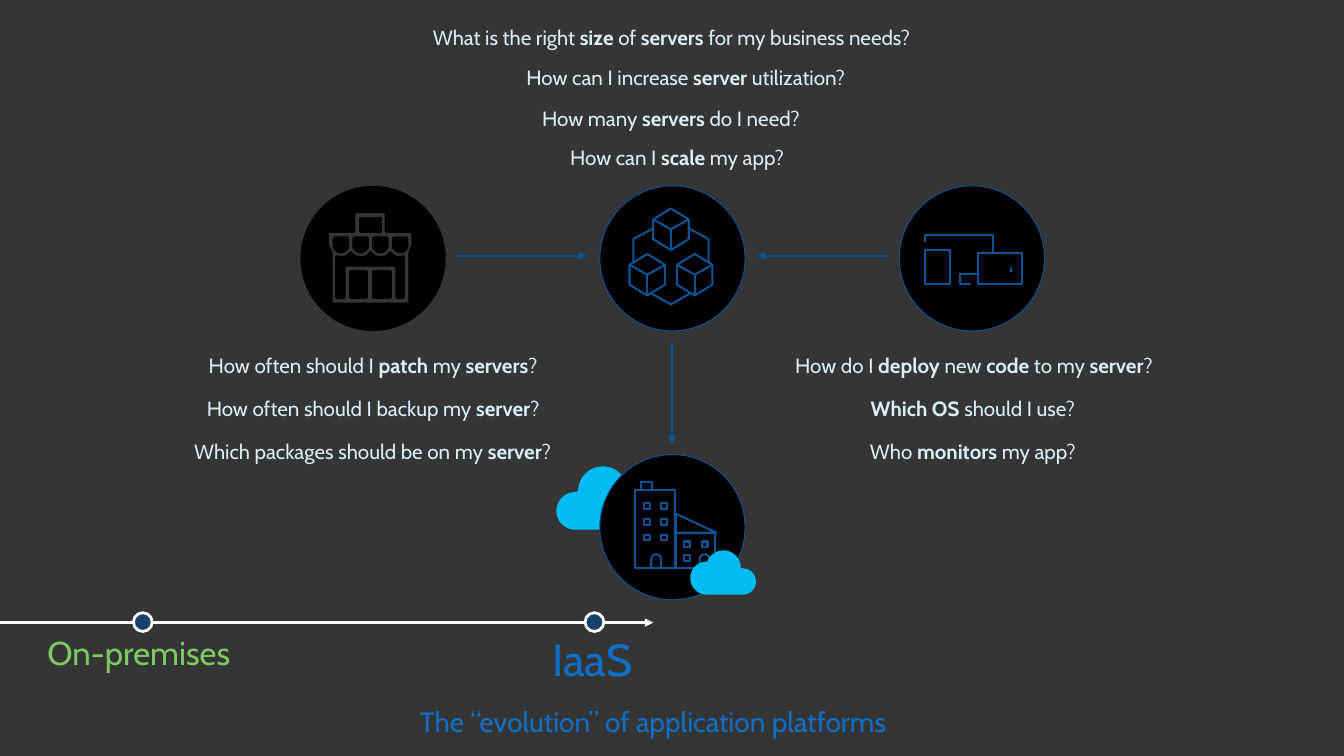
import math
import pptx
import pptx.util
import pptx.dml.color
import pptx.enum.shapes
import pptx.enum.text
import lxml.etree
import pptx.oxml.ns

PX = 9144
BLUE, BLACK, WHITE, SKY, DARK = "0B5394", "000000", "FFFFFF", "00BCF2", "353535"
PALE, TITLE_BLUE, GREEN, NAVY = "DBEFF9", "0F6FC6", "7CCA62", "17406D"
color = pptx.dml.color.RGBColor.from_string
kinds = pptx.enum.shapes.MSO_SHAPE
qn = pptx.oxml.ns.qn

deck = pptx.Presentation()
deck.slide_width, deck.slide_height = 1360 * PX, 765 * PX
slide = deck.slides.add_slide(deck.slide_layouts[6])
slide.background.fill.solid()
slide.background.fill.fore_color.rgb = color(DARK)
shapes = slide.shapes


def style(shape, fill, line, width):
    shape.shadow.inherit = False
    if fill:
        shape.fill.solid()
        shape.fill.fore_color.rgb = color(fill)
    else:
        shape.fill.background()
    if line:
        shape.line.color.rgb = color(line)
        shape.line.width = pptx.util.Pt(width)
    else:
        shape.line.fill.background()


def outline(contours, closed, fill, line, width):
    scaled = [[(x * PX, y * PX) for x, y in contour] for contour in contours]
    builder = shapes.build_freeform(*scaled[0][0], scale=1.0)
    for number, contour in enumerate(scaled):
        if number:
            builder.move_to(*contour[0])
        builder.add_line_segments(contour[1:], close=closed)
    style(builder.convert_to_shape(), fill, line, width)


cloud_lobes = [(19, 45, 19, 90, 270), (47, 25, 25, 180, 340), (71, 40, 24, 270, 450)]
cloud = [
    (x + r * math.cos(math.radians(a)), y + r * math.sin(math.radians(a)))
    for x, y, r, start, end in cloud_lobes
    for a in range(start, end + 1, 5)
]
outline([[(563 + x, 472 + y) for x, y in cloud]], True, SKY, None, 0)

for left, top, ring in [(607, 460, BLUE), (607, 188, BLUE), (304, 188, None), (910, 188, BLUE)]:
    disc = shapes.add_shape(kinds.OVAL, left * PX, top * PX, 147 * PX, 147 * PX)
    style(disc, BLACK, ring, 0.75)

cubes = [(703, 257), (655, 257), (679, 211)]
lines = [
    (-1, 630, 661, 630, WHITE, 2, True),
    (462, 259, 594, 259, BLUE, 2, True),
    (898, 259, 766, 259, BLUE, 2, True),
    (680, 346, 680, 449, BLUE, 2, True),
    (1023, 275, 1023, 270, BLUE, 2, False),
]
lines += [(x, y + 21, x, y + 42, BLUE, 1.5, False) for x, y in cubes]
for x1, y1, x2, y2, stroke, width, arrow in lines:
    connector = shapes.add_connector(
        pptx.enum.shapes.MSO_CONNECTOR.STRAIGHT, x1 * PX, y1 * PX, x2 * PX, y2 * PX
    )
    connector.line.color.rgb = color(stroke)
    connector.line.width = pptx.util.Pt(width)
    properties = connector.element.spPr
    if arrow:
        lxml.etree.SubElement(properties.find(qn("a:ln")), qn("a:tailEnd"), type="triangle")
    lxml.etree.SubElement(properties, qn("a:effectLst"))

for left in (135, 592):
    milestone = shapes.add_shape(kinds.OVAL, left * PX, 620 * PX, 19 * PX, 19 * PX)
    style(milestone, NAVY, WHITE, 2)

windows = [(x, y) for y in (509, 525, 541) for x in (652, 669)]
windows += [(692, 548), (710, 548), (692, 562)]
tower, chimney, annex = (643, 496, 40, 79), (649, 488, 11, 8), (684, 539, 40, 36)
tablet, laptop = (936, 253, 25, 34), (990, 256, 44, 31)
frames = [tower, chimney, annex, tablet, laptop] + [(x, y, 6, 6) for x, y in windows]
for left, top, width, height in frames:
    frame = shapes.add_shape(kinds.RECTANGLE, left * PX, top * PX, width * PX, height * PX)
    style(frame, None, BLUE, 1.5)
roof = shapes.add_shape(kinds.ISOSCELES_TRIANGLE, 684 * PX, 520 * PX, 41 * PX, 19 * PX)
roof.adjustments[0] = 0
style(roof, None, BLUE, 1.5)

half_turn = [math.radians(a) for a in range(0, 181, 15)]
strokes = [
    [(659, 297), (679, 308), (698, 297)],
    [(697, 231), (717, 242), (717, 265)],
    [(641, 265), (641, 242), (661, 231)],
    [(990, 277), (971, 277), (971, 287), (983, 287)],
    [(936, 245), (936, 238), (1005, 238), (1005, 256)],
]
for x in (664, 713):
    arch = [(x + 5 * math.cos(a), 566 - 5 * math.sin(a)) for a in half_turn]
    strokes.append([(x + 5, 575)] + arch + [(x - 5, 575)])
for x, y in cubes:
    strokes.append([(x + 18, y + 11), (x, y + 21), (x - 18, y + 11)])
    outline(
        [[(x - 18, y + 11), (x, y), (x + 18, y + 11), (x + 18, y + 31), (x, y + 42), (x - 18, y + 31)]],
        True, None, BLUE, 1.5,
    )
for stroke in strokes:
    outline([stroke], False, None, BLUE, 1.5)

facade = [
    (335, 308), (415, 308), (415, 256), (418, 248), (418, 234), (391, 234),
    (391, 214), (358, 214), (358, 234), (331, 234), (331, 248), (335, 256),
]
wall = [(341, 260)]
for x in (355, 375, 395):
    wall += [(x - 10, 261), (x - 4, 260), (x, 256), (x + 4, 260)]
wall += [(405, 261), (408, 260), (408, 301), (402, 301), (402, 268), (348, 268), (348, 301), (341, 301)]
store = [facade, wall]
for left, top, right, bottom in [(355, 275, 371, 301), (378, 275, 395, 301), (365, 221, 385, 234)]:
    store.append([(left, top), (right, top), (right, bottom), (left, bottom)])
for x in (345, 365, 385, 405):
    scallop = [(x + 6.67 * math.cos(a), 248 + 6.67 * math.sin(a)) for a in half_turn]
    store.append([(x - 6.67, 241), (x + 6.67, 241)] + scallop)
outline(store, True, DARK, BLACK, 2.5)

outline([[(765 - 0.7 * x, 557 + 0.7 * y) for x, y in cloud]], True, SKY, None, 0)

questions = [
    (368, 20, 623, "What is the right *size* of *servers* for my business needs?"),
    (497, 61, 394, "How can I increase *server* utilization?"),
    (468, 102, 422, "How many *servers* do I need?"),
    (554, 142, 262, "How can I *scale* my app?"),
    (169, 352, 417, "How often should I *patch* my *servers*?"),
    (184, 396, 387, "How often should I backup my *server*?"),
    (158, 439, 438, "Which packages should be on my *server*?"),
    (715, 352, 541, "How do I *deploy* new *code* to my *server*?"),
    (846, 396, 277, "*Which OS *should I use?"),
    (756, 439, 457, "Who *monitors* my app?"),
]
for left, top, width, question in questions:
    box = shapes.add_textbox(left * PX, top * PX, width * PX, 36 * PX)
    box.text_frame.word_wrap = True
    box.text_frame.auto_size = pptx.enum.text.MSO_AUTO_SIZE.SHAPE_TO_FIT_TEXT
    paragraph = box.text_frame.paragraphs[0]
    paragraph.alignment = pptx.enum.text.PP_ALIGN.CENTER
    for number, words in enumerate(question.split("*")):
        if words:
            run = paragraph.add_run()
            run.text = words
            run.font.name = "Cabin"
            run.font.size = pptx.util.Pt(15)
            run.font.bold = number % 2 == 1
            run.font.color.rgb = color(PALE)

captions = [
    (28, 629, 234, 69, "On-premises", 24, GREEN, True),
    (539, 629, 125, 83, "IaaS", 32.6, TITLE_BLUE, True),
    (415, 721, 585, 18, "The “evolution” of application platforms", 20.4, TITLE_BLUE, False),
]
for left, top, width, height, caption, size, ink, is_stage in captions:
    box = shapes.add_textbox(left * PX, top * PX, width * PX, height * PX)
    text_frame = box.text_frame
    text_frame.text = caption
    text_frame.word_wrap = not is_stage
    paragraph = text_frame.paragraphs[0]
    if is_stage:
        text_frame.auto_size = pptx.enum.text.MSO_AUTO_SIZE.SHAPE_TO_FIT_TEXT
        text_frame.margin_left = text_frame.margin_right = 20 * PX
        text_frame.margin_top = text_frame.margin_bottom = 16 * PX
        paragraph.line_spacing = 0.9
        paragraph.space_after = pptx.util.Pt(6)
    else:
        text_frame.vertical_anchor = pptx.enum.text.MSO_ANCHOR.MIDDLE
    font = paragraph.runs[0].font
    font.name = "Cabin"
    font.size = pptx.util.Pt(size)
    font.color.rgb = color(ink)

deck.save("out.pptx")
